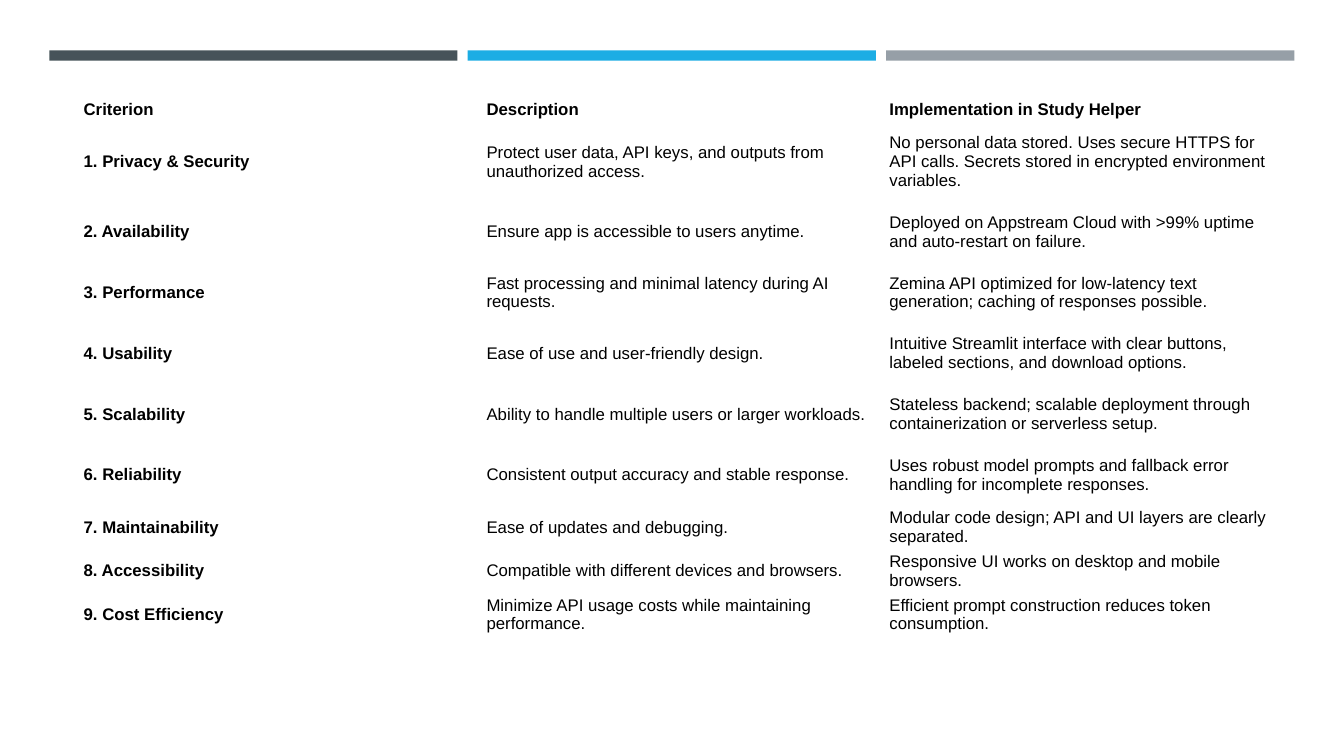
from pptx import Presentation
from pptx.dml.color import RGBColor
from pptx.enum.shapes import MSO_SHAPE as Shape
from pptx.enum.text import MSO_ANCHOR as Anchor
from pptx.util import Pt

BLACK = RGBColor(0x00, 0x00, 0x00)
SLATE = RGBColor(0x46, 0x53, 0x59)
BLUE = RGBColor(0x1C, 0xAD, 0xE4)
GREY = RGBColor(0x96, 0x9F, 0xA7)

HEADS = ("Criterion", "Description", "Implementation in Study Helper")

# Row height, criterion, description, implementation
ROWS = [
    (56.9, "Privacy & Security",
     "Protect user data, API keys, and outputs from unauthorized access.",
     "No personal data stored. Uses secure HTTPS for API calls. "
     "Secrets stored in encrypted environment variables."),
    (43.4, "Availability",
     "Ensure app is accessible to users anytime.",
     "Deployed on Appstream Cloud with >99% uptime and auto-restart on failure."),
    (43.4, "Performance",
     "Fast processing and minimal latency during AI requests.",
     "Zemina API optimized for low-latency text generation; "
     "caching of responses possible."),
    (43.4, "Usability",
     "Ease of use and user-friendly design.",
     "Intuitive Streamlit interface with clear buttons, labeled sections, "
     "and download options."),
    (43.4, "Scalability",
     "Ability to handle multiple users or larger workloads.",
     "Stateless backend; scalable deployment through containerization "
     "or serverless setup."),
    (43.4, "Reliability",
     "Consistent output accuracy and stable response.",
     "Uses robust model prompts and fallback error handling "
     "for incomplete responses."),
    (30.6, "Maintainability",
     "Ease of updates and debugging.",
     "Modular code design; API and UI layers are clearly separated."),
    (30.6, "Accessibility",
     "Compatible with different devices and browsers.",
     "Responsive UI works on desktop and mobile browsers."),
    (30.6, "Cost Efficiency",
     "Minimize API usage costs while maintaining performance.",
     "Efficient prompt construction reduces token consumption."),
]
HEAD_H, LAST_H = 17.6, 43.4


def add_bar(slide, left, color):
    bar = slide.shapes.add_shape(Shape.RECTANGLE, Pt(left), Pt(36), Pt(291.6), Pt(7.4))
    bar.shadow.inherit = False
    bar.fill.solid()
    bar.fill.fore_color.rgb = color
    bar.line.fill.background()


def fill_cell(cell, text, bold):
    cell.fill.background()
    cell.vertical_anchor = Anchor.MIDDLE
    cell.margin_left = cell.margin_right = Pt(3.6)
    cell.margin_top = cell.margin_bottom = Pt(2.16)
    cell.text_frame.text = text
    font = cell.text_frame.paragraphs[0].font
    for run in cell.text_frame.paragraphs[0].runs:
        font = run.font
    font.name = "Arial"
    font.size = Pt(12)
    font.bold = bold
    font.color.rgb = BLACK


def add_grid(slide, lines, sizes):
    frame = slide.shapes.add_table(len(lines), len(HEADS), Pt(56.16), Pt(69.3),
                                   Pt(863.4), Pt(sum(sizes)))
    table = frame.table
    table.first_row = table.horz_banding = False
    for col in table.columns:
        col.width = Pt(287.8)
    for r, (line, size) in enumerate(zip(lines, sizes)):
        table.rows[r].height = Pt(size)
        for c, text in enumerate(line):
            fill_cell(table.cell(r, c), text, bold=r == 0 or c == 0)


def main():
    deck = Presentation()
    deck.slide_width, deck.slide_height = Pt(960), Pt(540)
    slide = deck.slides.add_slide(deck.slide_layouts[6])

    # Colour bars across the top
    for i, color in enumerate((SLATE, BLUE, GREY)):
        add_bar(slide, 35.2 + i * 298.9, color)

    # Criteria table, closed by an empty row
    lines = [HEADS]
    for i, (_, name, need, answer) in enumerate(ROWS, 1):
        lines.append((f"{i}. {name}", need, answer))
    lines.append(("",) * len(HEADS))
    add_grid(slide, lines, [HEAD_H, *(row[0] for row in ROWS), LAST_H])

    deck.save("out.pptx")


if __name__ == "__main__":
    main()
